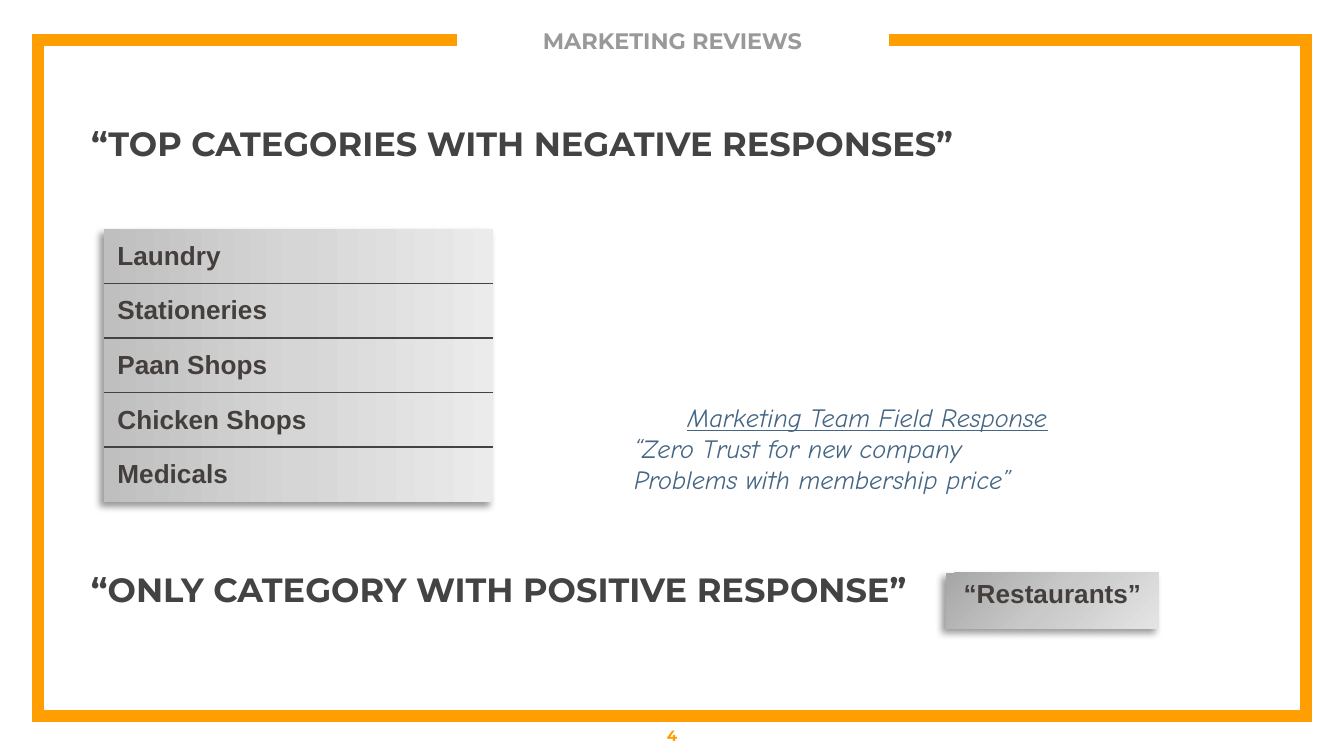
from dataclasses import dataclass

from pptx import Presentation
from pptx.dml.color import RGBColor
from pptx.enum.text import MSO_ANCHOR, MSO_AUTO_SIZE, PP_ALIGN
from pptx.oxml import parse_xml
from pptx.oxml.ns import nsdecls
from pptx.util import Emu, Pt

PX = 9144000 / 1344


@dataclass(frozen=True)
class Theme:
    """Colours, fonts and type sizes of the slide."""
    orange: str = "FF9E00"
    dark: str = "434343"
    grey: str = "999999"
    cell: str = "443F3D"
    blue: str = "446584"
    display: str = "Montserrat"
    plain: str = "Arial"
    hand: str = "Comic Neue"
    heading: int = 18
    body: int = 14
    title: int = 12
    number: int = 8


@dataclass(frozen=True)
class Box:
    """Position and size in px."""
    x: int
    y: int
    w: int
    h: int

    def emu(self) -> tuple:
        """Return left, top, width and height in EMU."""
        return tuple(px(v) for v in (self.x, self.y, self.w, self.h))


@dataclass(frozen=True)
class CategoryTable:
    """A one-column table with gradient cells."""
    box: Box
    rows: tuple
    stops: tuple
    angle: int
    align: PP_ALIGN
    anchor: MSO_ANCHOR


T = Theme()
TABLES = (
    CategoryTable(Box(104, 229, 389, 273),
                  ("Laundry", "Stationeries", "Paan Shops", "Chicken Shops", "Medicals"),
                  ("BFBFBF", "D6D6D6", "EBEBEB"), 0, PP_ALIGN.LEFT, MSO_ANCHOR.MIDDLE),
    CategoryTable(Box(946, 573, 213, 56), ("“Restaurants”",),
                  ("A6A6A6", "C9C9C9", "E4E4E4"), 45, PP_ALIGN.CENTER, MSO_ANCHOR.TOP),
)


def px(value: float) -> Emu:
    """Turn px into EMU."""
    return Emu(round(value * PX))


def write(p, text: str, *, font: str, size: int, color: str, bold: bool = False,
          italic: bool = False, underline: bool = False,
          align: PP_ALIGN = PP_ALIGN.LEFT, before: int = 0) -> None:
    """Write one formatted run into a paragraph."""
    p.alignment, p.space_before = align, Pt(before)
    r = p.add_run()
    r.text = text
    f = r.font
    f.name, f.size, f.bold, f.italic, f.underline = font, Pt(size), bold, italic, underline
    f.color.rgb = RGBColor.from_string(color)


def place(sp, box: Box, anchor: MSO_ANCHOR = MSO_ANCHOR.TOP, inset: tuple = (13, 13)):
    """Place a text shape and return its text frame."""
    sp.left, sp.top, sp.width, sp.height = box.emu()
    tf = sp.text_frame
    tf.word_wrap, tf.auto_size, tf.vertical_anchor = True, MSO_AUTO_SIZE.NONE, anchor
    tf.margin_left = tf.margin_right = px(inset[0])
    tf.margin_top = tf.margin_bottom = px(inset[1])
    return tf


def text_box(s, box: Box, **layout):
    """Add a text box and return its text frame."""
    return place(s.shapes.add_textbox(*box.emu()), box, **layout)


def add_heading(tf, text: str) -> None:
    """Write a section heading without a bullet."""
    p = tf.paragraphs[0]
    write(p, text, font=T.display, size=T.heading, color=T.dark, bold=True, before=6)
    pPr = p._p.get_or_add_pPr()
    pPr.set("marL", "0")
    pPr.set("indent", "0")
    pPr.append(parse_xml(f"<a:buNone {nsdecls('a')}/>"))


def add_frame(s) -> None:
    """Draw the orange frame that is open behind the title."""
    fb = s.shapes.build_freeform(457, 40, scale=PX)
    fb.add_line_segments([(38, 40), (38, 716), (1306, 716), (1306, 40), (889, 40)], close=False)
    sp = fb.convert_to_shape()
    sp.shadow.inherit = False
    sp.fill.background()
    sp.line.color.rgb = RGBColor.from_string(T.orange)
    sp.line.width = Pt(6)
    sp.line._get_or_add_ln().append(parse_xml(f'<a:miter {nsdecls("a")} lim="800000"/>'))


def style_cell(cell, spec: CategoryTable, row: int) -> None:
    """Give a cell its inner borders and its gradient."""
    tcPr = cell._tc.get_or_add_tcPr()
    visible = {"lnT": row > 0, "lnB": row < len(spec.rows) - 1}
    for side in ("lnL", "lnR", "lnT", "lnB"):
        fill = (f'<a:solidFill><a:srgbClr val="{T.dark}"/></a:solidFill>'
                if visible.get(side) else "<a:noFill/>")
        tcPr.append(parse_xml(f'<a:{side} {nsdecls("a")} w="12700">{fill}</a:{side}>'))
    stops = "".join(f'<a:gs pos="{i * 50000}"><a:srgbClr val="{c}"/></a:gs>'
                    for i, c in enumerate(spec.stops))
    tcPr.append(parse_xml(f'<a:gradFill {nsdecls("a")}><a:gsLst>{stops}</a:gsLst>'
                          f'<a:lin ang="{spec.angle * 60000}" scaled="0"/></a:gradFill>'))


def add_category_table(s, spec: CategoryTable) -> None:
    """Add a category table with a soft shadow."""
    tbl = s.shapes.add_table(len(spec.rows), 1, *spec.box.emu()).table
    tbl.first_row = tbl.horz_banding = False
    tbl._tbl.tblPr.insert(0, parse_xml(
        f'<a:effectLst {nsdecls("a")}><a:outerShdw blurRad="50800" dist="38100" dir="8100000" '
        'algn="tr" rotWithShape="0"><a:srgbClr val="000000"><a:alpha val="40000"/></a:srgbClr>'
        '</a:outerShdw></a:effectLst>'))
    for i, text in enumerate(spec.rows):
        cell = tbl.cell(i, 0)
        cell.vertical_anchor = spec.anchor
        write(cell.text_frame.paragraphs[0], text, font=T.plain, size=T.body,
              color=T.cell, bold=True, align=spec.align)
        style_cell(cell, spec, i)


def main() -> None:
    """Build the slide and save it."""
    prs = Presentation()
    prs.slide_width, prs.slide_height = px(1344), px(756)
    s = prs.slides.add_slide(prs.slide_layouts[1])
    add_frame(s)
    add_heading(place(s.placeholders[1], Box(78, 110, 929, 89)),
                "“TOP CATEGORIES WITH NEGATIVE RESPONSES”")
    tf = place(s.shapes.title, Box(477, 15, 391, 52), MSO_ANCHOR.MIDDLE, (0, 0))
    write(tf.paragraphs[0], "MARKETING REVIEWS", font=T.display, size=T.title,
          color=T.grey, bold=True, align=PP_ALIGN.CENTER)
    tf = text_box(s, Box(0, 716, 1344, 40), anchor=MSO_ANCHOR.MIDDLE)
    write(tf.paragraphs[0], "4", font=T.display, size=T.number,
          color=T.orange, bold=True, align=PP_ALIGN.CENTER)
    for spec in TABLES:
        add_category_table(s, spec)
    add_heading(text_box(s, Box(78, 556, 874, 89)), "“ONLY CATEGORY WITH POSITIVE RESPONSE”")
    tf = text_box(s, Box(621, 394, 493, 109), inset=(13, 7))
    note = {"font": T.hand, "size": T.body, "color": T.blue, "italic": True}
    write(tf.paragraphs[0], "Marketing Team Field Response", underline=True,
          align=PP_ALIGN.CENTER, **note)
    for line in ("“Zero Trust for new company", "Problems with membership price”"):
        write(tf.add_paragraph(), line, **note)
    prs.save("out.pptx")


if __name__ == "__main__":
    main()
